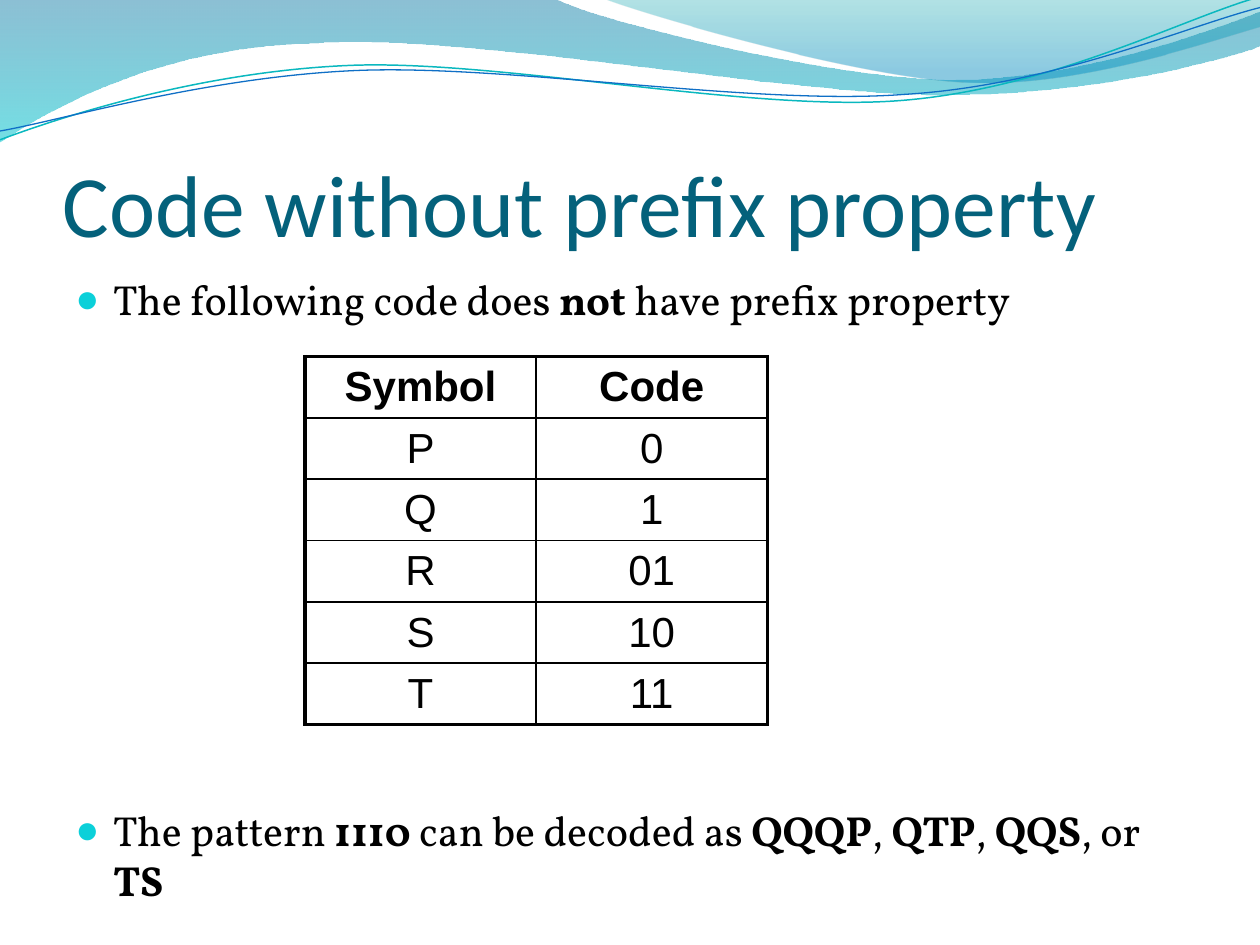
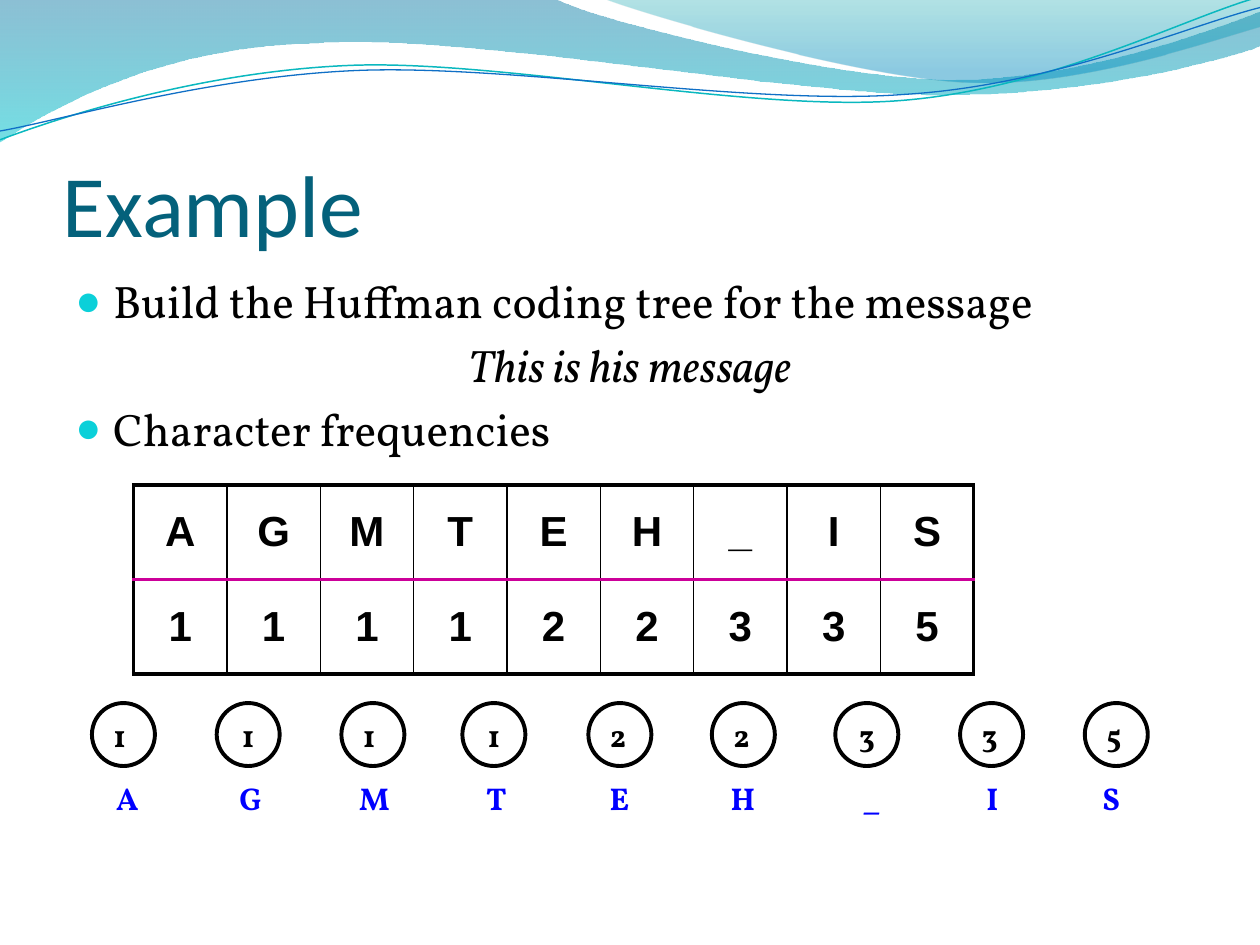
"""Builds two slides on prefix codes and Huffman character frequencies."""
import dataclasses

import pptx
import pptx.dml.color
import pptx.enum.shapes
import pptx.enum.text
import pptx.oxml.ns
import pptx.util
from lxml import etree

RGB = pptx.dml.color.RGBColor.from_string
QN = pptx.oxml.ns.qn
ALIGN = pptx.enum.text.PP_ALIGN
ANCHOR = pptx.enum.text.MSO_ANCHOR
FIT = pptx.enum.text.MSO_AUTO_SIZE.SHAPE_TO_FIT_TEXT
SHAPE = pptx.enum.shapes.MSO_SHAPE


@dataclasses.dataclass(frozen=True)
class Theme:
    """Colours, fonts and type sizes."""
    title_color: str = "04617B"
    ink: str = "000000"
    bullet: str = "0BD0D9"
    label: str = "0000FF"
    divider: str = "CC0099"
    heading_font: str = "Calibri"
    body_font: str = "Vollkorn"
    table_font: str = "Arial"
    title_size: float = 50
    body_size: float = 26
    tight_body_size: float = 24
    table_size: float = 24
    node_size: float = 18
    thin: float = 1
    thick: float = 2.25


BANDS = [
    ((0, 0),
     [(440, -1), (476, 17, 664, 63, 758, 63), (853, 63, 958, 26, 1000, 9),
      (1001, 36), (983, 44, 870, 76, 746, 75), (622, 75, 382, 28, 257, 34),
      (129, 36, 46, 83, -1, 113)],
     [(0, "0074A1", 45), (1, "00C6CF", 55)]),
    ((479, -1),
     [(509, 11, 682, 62, 769, 65), (856, 69, 961, 32, 1000, 21), (1000, 0)],
     [(0, "00A1A9", 30), (0.8, "008BBF", 45)]),
]
RIBBONS = [
    ((0, 111),
     [(48, 93, 158, 57, 277, 52), (395, 47, 593, 89, 713, 80),
      (833, 71, 938, 15, 998, -2)], "0AB8BF", 0.85),
    ((0, 104),
     [(47, 96, 164, 61, 283, 56), (403, 51, 597, 84, 717, 75),
      (836, 68, 941, 21, 1000, 6)], "0F6FC6", 0.75),
]


class SlideWriter:
    """Holds the deck, the style and the current slide."""

    SCALE = 9144

    def __init__(self, theme):
        self.theme = theme
        self.deck = pptx.Presentation()
        self.deck.slide_width, self.deck.slide_height = self.emu(1000, 750)
        self.page = None

    def emu(self, *lengths):
        """Convert px to EMU."""
        return [pptx.util.Emu(length * self.SCALE) for length in lengths]

    def add_page(self, title):
        """Start a slide with the wave header and a title."""
        self.page = self.deck.slides.add_slide(self.deck.slide_layouts[6])
        for start, segments, stops in BANDS:
            self.band(start, segments, stops)
        for start, segments, color, weight in RIBBONS:
            ribbon = self.outline(start, segments, False)
            ribbon.fill.background()
            ribbon.line.color.rgb = RGB(color)
            ribbon.line.width = pptx.util.Pt(weight)
        theme = self.theme
        frame = self.text(title, (50, 77, 900, 125), theme.heading_font,
                          theme.title_size, theme.title_color, anchor=ANCHOR.BOTTOM)
        frame.margin_left = frame.margin_right = frame.margin_bottom = 0

    def outline(self, start, segments, closed):
        """Draw a freeform; two numbers make a line, six a cubic curve."""
        builder = self.page.shapes.build_freeform(*start, scale=float(self.SCALE))
        for segment in segments:
            builder.add_line_segments(list(zip(segment[::2], segment[1::2])), close=False)
        if closed:
            builder.add_line_segments([], close=True)
        shape = builder.convert_to_shape()
        shape.shadow.inherit = False
        steps = iter(list(shape.element.iter(QN("a:lnTo"))))
        for segment in segments:
            group = [next(steps) for _ in segment[::2]]
            if len(group) == 3:
                curve = etree.Element(QN("a:cubicBezTo"))
                group[0].addprevious(curve)
                for step in group:
                    curve.append(step[0])
                    step.getparent().remove(step)
        return shape

    def band(self, start, segments, stops):
        """Draw a wave with a translucent gradient running downwards."""
        shape = self.outline(start, segments, True)
        shape.line.fill.background()
        shape.fill.gradient()
        shape.fill.gradient_angle = 270
        for stop, (position, color, _) in zip(shape.fill.gradient_stops, stops):
            stop.position = position
            stop.color.rgb = RGB(color)
        for node, (_, _, opacity) in zip(shape.element.iter(QN("a:srgbClr")), stops):
            etree.SubElement(node, QN("a:alpha"), val=str(opacity * 1000))

    def format(self, para, font, size, color, bold=None, align=None):
        """Apply one type style to all runs of a paragraph."""
        para.alignment = align
        for span in para.runs:
            span.font.name = font
            span.font.size = pptx.util.Pt(size)
            span.font.color.rgb = RGB(color)
            if bold is not None:
                span.font.bold = bold

    def text(self, text, place, font, size, color, bold=None, align=None,
             wrap=True, anchor=ANCHOR.TOP):
        """Add a text box with one paragraph."""
        box = self.page.shapes.add_textbox(*self.emu(*place))
        frame = box.text_frame
        frame.word_wrap = wrap
        frame.vertical_anchor = anchor
        frame.text = text
        self.format(frame.paragraphs[0], font, size, color, bold, align)
        return frame

    def bullet(self, para):
        """Give a paragraph a round coloured bullet."""
        properties = para._p.get_or_add_pPr()
        color = etree.SubElement(properties, QN("a:buClr"))
        etree.SubElement(color, QN("a:srgbClr"), val=self.theme.bullet)
        etree.SubElement(properties, QN("a:buSzPct"), val="95000")
        etree.SubElement(properties, QN("a:buFont"), typeface=self.theme.table_font)
        etree.SubElement(properties, QN("a:buChar"), char="●")

    def body(self, items, size):
        """Add body items of (text, centred, space before); *stars* mark bold."""
        box = self.page.shapes.add_textbox(*self.emu(50, 212, 900, 480))
        frame = box.text_frame
        frame.word_wrap = True
        for index, (text, centred, gap) in enumerate(items):
            para = frame.add_paragraph() if index else frame.paragraphs[0]
            properties = para._p.get_or_add_pPr()
            indent = self.emu(30)[0]
            properties.set("marL", str(indent))
            properties.set("indent", str(-indent))
            if not centred:
                self.bullet(para)
            for part, words in enumerate(text.split("*")):
                if words:
                    span = para.add_run()
                    span.text = words
                    span.font.bold = part % 2 == 1
                    span.font.italic = centred
            if gap:
                para.space_before = pptx.util.Pt(gap)
            self.format(para, self.theme.body_font, size, self.theme.ink,
                        align=ALIGN.CENTER if centred else None)

    def border(self, cell, side, color, weight):
        """Draw one edge of a table cell."""
        edge = etree.SubElement(cell._tc.get_or_add_tcPr(), QN(f"a:ln{side}"),
                                w=str(pptx.util.Pt(weight)))
        fill = etree.SubElement(edge, QN("a:solidFill"))
        etree.SubElement(fill, QN("a:srgbClr"), val=color)

    def table(self, rows, place, bold_rows, divider=None):
        """Add an evenly spaced table with a thick frame and thin inner rules."""
        theme = self.theme
        left, top, width, height = self.emu(*place)
        row_count, column_count = len(rows), len(rows[0])
        table = self.page.shapes.add_table(row_count, column_count,
                                           left, top, width, height).table
        table.first_row = table.horz_banding = False
        for column in table.columns:
            column.width = width // column_count
        for row in table.rows:
            row.height = height // row_count
        frame = (theme.ink, theme.thick)
        rule = (theme.ink, theme.thin)
        row_rule = (divider, theme.thick) if divider else rule
        for y, values in enumerate(rows):
            for x, value in enumerate(values):
                cell = table.cell(y, x)
                cell.text = value
                cell.vertical_anchor = ANCHOR.MIDDLE
                cell.margin_top = cell.margin_bottom = self.emu(3)[0]
                self.format(cell.text_frame.paragraphs[0], theme.table_font,
                            theme.table_size, theme.ink, y < bold_rows, ALIGN.CENTER)
                self.border(cell, "L", *(rule if x else frame))
                self.border(cell, "R", *(rule if x < column_count - 1 else frame))
                self.border(cell, "T", *(row_rule if y else frame))
                self.border(cell, "B", *(row_rule if y < row_count - 1 else frame))
                cell.fill.background()

    def node(self, text, place, align):
        """Add a tree node: an outlined circle with a number."""
        theme = self.theme
        circle = self.page.shapes.add_shape(SHAPE.FLOWCHART_CONNECTOR, *self.emu(*place))
        circle.shadow.inherit = False
        circle.fill.background()
        circle.line.color.rgb = RGB(theme.ink)
        circle.line.width = pptx.util.Pt(theme.thick)
        frame = circle.text_frame
        frame.word_wrap = False
        frame.vertical_anchor = ANCHOR.MIDDLE
        frame.text = text
        self.format(frame.paragraphs[0], theme.body_font, theme.node_size,
                    theme.ink, True, align)

    def label(self, text, place, align):
        """Add the symbol below a tree node."""
        theme = self.theme
        frame = self.text(text, place, theme.body_font, theme.node_size,
                          theme.label, True, align, wrap=False)
        frame.auto_size = FIT


def prefix_slide(writer):
    """Show a code that lacks the prefix property."""
    writer.add_page("Code without prefix property")
    writer.body([
        ("The following code does *not* have prefix property", False, 0),
        ("The pattern *1110* can be decoded as *QQQP*, *QTP*, *QQS*, or *TS*", False, 274.7),
    ], writer.theme.tight_body_size)
    writer.table([("Symbol", "Code"), ("P", "0"), ("Q", "1"), ("R", "01"),
                  ("S", "10"), ("T", "11")], (242, 283, 367, 292), bold_rows=1)


def example_slide(writer):
    """Show character frequencies and the leaf nodes made from them."""
    theme = writer.theme
    symbols, counts = "AGMTEH_IS", "111122335"
    node_lefts = (73, 172, 271, 367, 467, 565, 663, 762, 861)
    label_lefts = (79, 176, 273, 376, 474, 570, 675, 773, 865)
    label_widths = (44, 46, 48, 40, 42, 44, 39, 29, 42)
    writer.add_page("Example")
    writer.body([
        ("Build the Huffman coding tree for the message", False, 0),
        ("This is his message", True, 5.2),
        ("Character frequencies", False, 5.2),
    ], theme.body_size)
    writer.table([symbols, counts], (106, 385, 667, 150), bold_rows=2,
                 divider=theme.divider)
    for symbol, count, left in zip(symbols, counts, node_lefts):
        writer.node(count, (left, 558, 50, 50),
                    ALIGN.CENTER if symbol in "GT_" else ALIGN.LEFT)
    for symbol, left, width in zip(symbols, label_lefts, label_widths):
        writer.label(symbol, (left, 613, width, 50),
                     ALIGN.CENTER if symbol in "AGM" else ALIGN.LEFT)


def main():
    """Build and save the deck."""
    writer = SlideWriter(Theme())
    prefix_slide(writer)
    example_slide(writer)
    writer.deck.save("out.pptx")


if __name__ == "__main__":
    main()
